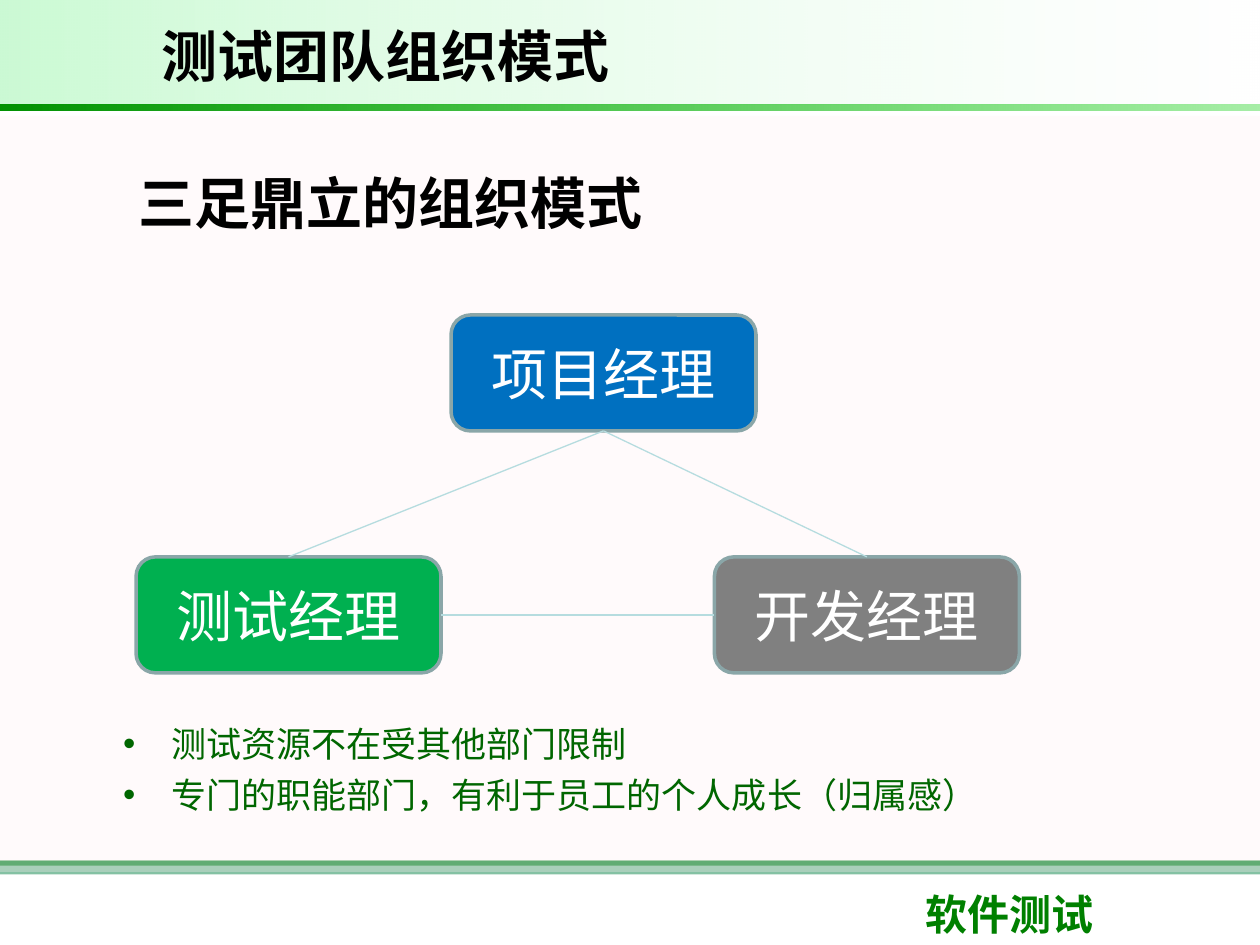
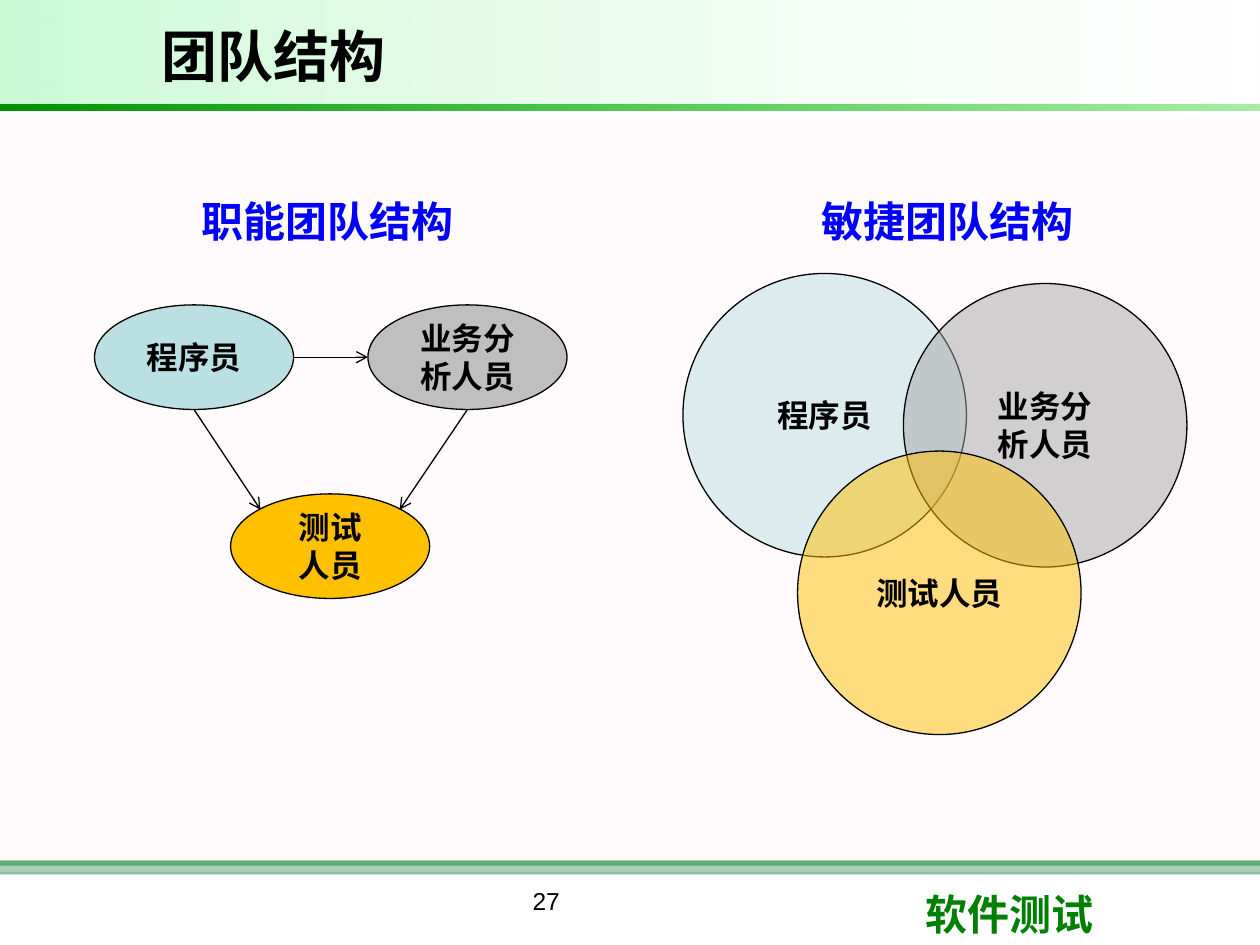
"""Builds two slides on how test teams are organised."""
from dataclasses import dataclass

from lxml.etree import SubElement
from pptx import Presentation
from pptx.dml.color import RGBColor
from pptx.enum.shapes import MSO_CONNECTOR as Connector, MSO_SHAPE as Preset
from pptx.enum.text import MSO_ANCHOR as Anchor, MSO_AUTO_SIZE as AutoSize, PP_ALIGN as Align
from pptx.oxml.ns import qn
from pptx.shapes.autoshape import Shape
from pptx.slide import Slide
from pptx.util import Inches, Pt

BLACK = RGBColor(0x00, 0x00, 0x00)
WHITE = RGBColor(0xFF, 0xFF, 0xFF)
GREEN = RGBColor(0x00, 0x80, 0x00)
SEA_GREEN = RGBColor(0x33, 0x99, 0x66)
BLUSH = RGBColor(0xFF, 0xF0, 0xF5)
MINT = RGBColor(0x09, 0xE7, 0x33)
RULE_DARK = RGBColor(0x00, 0x92, 0x00)
RULE_LIGHT = RGBColor(0x00, 0xCC, 0x00)
BULLET_GREEN = RGBColor(0x00, 0x66, 0x00)
HEADING_BLUE = RGBColor(0x00, 0x00, 0xFF)
PROJECT_BLUE = RGBColor(0x00, 0x70, 0xC0)
TEST_GREEN = RGBColor(0x00, 0xB0, 0x50)
DEVELOPMENT_GREY = RGBColor(0x80, 0x80, 0x80)
BOX_EDGE = RGBColor(0x8A, 0xA6, 0xA8)
LINK = RGBColor(0xB6, 0xDC, 0xDF)
PALE_BLUE = RGBColor(0xBB, 0xE0, 0xE3)
SILVER = RGBColor(0xBF, 0xBF, 0xBF)
MID_GREY = RGBColor(0xA6, 0xA6, 0xA6)
AMBER = RGBColor(0xFF, 0xC0, 0x00)

Area = tuple[float, float, float, float]
Site = tuple[float, float]
HEADER_AREA: Area = (1.18, 0.08, 6.97, 0.71)
TOP: Site = (0.5, 0)
BOTTOM: Site = (0.5, 1)
LEFT: Site = (0, 0.5)
RIGHT: Site = (1, 0.5)
TOP_LEFT: Site = (0.15, 0.15)
TOP_RIGHT: Site = (0.85, 0.15)


@dataclass(frozen=True)
class TextStyle:
    """Look of the paragraphs in one box."""
    size: float
    color: RGBColor = BLACK
    bold: bool = True
    font: str = "Arial"
    align: Align = Align.LEFT
    anchor: Anchor = Anchor.TOP
    wrap: bool = True
    bullet: bool = False
    spacing: float = 1.0


@dataclass(frozen=True)
class NodeStyle:
    """Look shared by the nodes of one diagram."""
    preset: Preset
    width: float
    height: float
    edge: RGBColor
    edge_width: float
    text: TextStyle
    opacity: int = 100


@dataclass(frozen=True)
class Node:
    """One labelled node of a diagram."""
    label: str
    left: float
    top: float
    fill: RGBColor


TITLE = TextStyle(32, anchor=Anchor.MIDDLE)
FOOTER = TextStyle(24, GREEN, font="Roboto")
PAGE_NUMBER = TextStyle(14, bold=False, align=Align.CENTER)
HEADING = TextStyle(24, HEADING_BLUE, wrap=False)
BULLETS = TextStyle(20, BULLET_GREEN, False, "Noto Sans CJK SC", wrap=False, bullet=True, spacing=1.2)
MANAGER_TEXT = TextStyle(32, WHITE, False, align=Align.CENTER, anchor=Anchor.MIDDLE)
ROLE_TEXT = TextStyle(18, align=Align.CENTER, anchor=Anchor.MIDDLE)
MANAGER = NodeStyle(Preset.ROUNDED_RECTANGLE, 2.42, 0.92, BOX_EDGE, 2, MANAGER_TEXT)
ROLE = NodeStyle(Preset.OVAL, 1.58, 0.83, BLACK, 0.75, ROLE_TEXT)
CIRCLE = NodeStyle(Preset.OVAL, 2.25, 2.25, BLACK, 0.75, ROLE_TEXT, 50)


def inches(area: Area) -> list[Inches]:
    """Turn an area into lengths."""
    return [Inches(value) for value in area]


def set_opacity(shape: Shape, *percents: int) -> None:
    """Set the opacity of each colour in the fill of a shape."""
    fill = next(child for child in shape.element.spPr
                if child.tag in (qn("a:solidFill"), qn("a:gradFill")))
    for color, percent in zip(fill.iter(qn("a:srgbClr")), percents):
        if percent < 100:
            SubElement(color, qn("a:alpha"), val=str(percent * 1000))


def write(shape: Shape, lines: list[str], style: TextStyle) -> None:
    """Write one paragraph a line in the given style."""
    frame = shape.text_frame
    frame.auto_size = AutoSize.NONE
    frame.word_wrap = style.wrap
    frame.vertical_anchor = style.anchor
    frame.text = "\n".join(lines)
    for para in frame.paragraphs:
        para.alignment = style.align
        para.line_spacing = style.spacing
        if style.bullet:
            properties = para._p.get_or_add_pPr()
            properties.set("marL", str(Inches(0.38)))
            properties.set("indent", str(-Inches(0.38)))
            SubElement(properties, qn("a:buFont"), typeface="Arial")
            SubElement(properties, qn("a:buChar"), char="•")
        para.font.name = style.font
        para.font.size = Pt(style.size)
        para.font.bold = style.bold
        para.font.color.rgb = style.color


def add_text(page: Slide, area: Area, lines: list[str], style: TextStyle) -> None:
    """Add a text box."""
    write(page.shapes.add_textbox(*inches(area)), lines, style)


def add_band(page: Slide, area: Area, color: RGBColor, opacity: int = 100) -> None:
    """Add a plain band without an outline."""
    band = page.shapes.add_shape(Preset.RECTANGLE, *inches(area))
    band.shadow.inherit = False
    band.line.fill.background()
    band.fill.solid()
    band.fill.fore_color.rgb = color
    set_opacity(band, opacity)


def add_fade(page: Slide, area: Area, colors: list[RGBColor], opacities: list[int]) -> None:
    """Add a band that fades from left to right."""
    band = page.shapes.add_shape(Preset.RECTANGLE, *inches(area))
    band.shadow.inherit = False
    band.line.fill.background()
    band.fill.gradient()
    band.fill.gradient_angle = 0
    for position, (stop, color) in enumerate(zip(band.fill.gradient_stops, colors)):
        stop.position = position
        stop.color.rgb = color
    set_opacity(band, *opacities)


def add_node(page: Slide, node: Node, style: NodeStyle) -> Shape:
    """Add a labelled node and return its shape."""
    shape = page.shapes.add_shape(
        style.preset, *inches((node.left, node.top, style.width, style.height)))
    shape.shadow.inherit = False
    shape.fill.solid()
    shape.fill.fore_color.rgb = node.fill
    set_opacity(shape, style.opacity)
    shape.line.color.rgb = style.edge
    shape.line.width = Pt(style.edge_width)
    write(shape, node.label.split("\n"), style.text)
    return shape


def site_point(shape: Shape, site: Site) -> tuple[int, int]:
    """Find the point at a relative place of a shape."""
    return (int(shape.left + shape.width * site[0]),
            int(shape.top + shape.height * site[1]))


def link(page: Slide, start: Shape, start_site: Site, end: Shape, end_site: Site,
         color: RGBColor, arrow: bool = False) -> None:
    """Join two shapes with a thin straight line."""
    line = page.shapes.add_connector(
        Connector.STRAIGHT, *site_point(start, start_site), *site_point(end, end_site))
    line.line.color.rgb = color
    line.line.width = Pt(0.75)
    if arrow:
        SubElement(line.line._get_or_add_ln(), qn("a:tailEnd"), type="arrow")
    SubElement(line.element.spPr, qn("a:effectLst"))


def add_page(deck: Presentation, title: str, area: Area) -> Slide:
    """Add a slide with the shared bands, footer and title."""
    page = deck.slides.add_slide(deck.slide_layouts[5])
    add_band(page, (0, 6.83, 10, 0.04), GREEN)
    add_band(page, (0, 6.83, 10, 0.11), SEA_GREEN, 60)
    add_band(page, (0, 0.92, 10, 6), BLUSH, 30)
    add_text(page, (7.25, 7, 2.37, 0.5), ["软件测试"], FOOTER)
    add_fade(page, (0, 0, 10, 0.83), [MINT, WHITE], [21, 10])
    add_fade(page, (0, 0.83, 10, 0.05), [RULE_DARK, RULE_LIGHT], [100, 35])
    heading = page.shapes.title
    heading.left, heading.top, heading.width, heading.height = inches(area)
    write(heading, [title], TITLE)
    page.shapes.element.append(heading.element)
    return page


def build_organisation(deck: Presentation) -> None:
    """Build the slide with the three managers."""
    page = add_page(deck, "三足鼎立的组织模式", (1, 1.25, 6.97, 0.71))
    project, test, development = [add_node(page, node, MANAGER) for node in (
        Node("项目经理", 3.58, 2.5, PROJECT_BLUE),
        Node("测试经理", 1.08, 4.42, TEST_GREEN),
        Node("开发经理", 5.67, 4.42, DEVELOPMENT_GREY))]
    link(page, project, BOTTOM, test, TOP, LINK)
    link(page, project, BOTTOM, development, TOP, LINK)
    link(page, test, RIGHT, development, LEFT, LINK)
    add_text(page, HEADER_AREA, ["测试团队组织模式"], TITLE)
    add_text(page, (0.88, 5.62, 7.03, 0.87),
             ["测试资源不在受其他部门限制", "专门的职能部门，有利于员工的个人成长（归属感）"], BULLETS)


def build_structure(deck: Presentation) -> None:
    """Build the slide that compares two team structures."""
    page = add_page(deck, "团队结构", HEADER_AREA)
    add_text(page, (2.75, 6.98, 3.17, 0.52), ["27"], PAGE_NUMBER)
    programmer, analyst, tester = [add_node(page, node, ROLE) for node in (
        Node("程序员", 0.75, 2.42, PALE_BLUE),
        Node("业务分析人员", 2.92, 2.42, SILVER),
        Node("测试\n人员", 1.83, 3.92, AMBER))]
    link(page, programmer, RIGHT, analyst, LEFT, BLACK, arrow=True)
    link(page, programmer, BOTTOM, tester, TOP_LEFT, BLACK, arrow=True)
    link(page, analyst, BOTTOM, tester, TOP_RIGHT, BLACK, arrow=True)
    for circle in (Node("程序员", 5.42, 2.17, PALE_BLUE),
                   Node("业务分\n析人员", 7.17, 2.25, MID_GREY),
                   Node("测试人员", 6.33, 3.58, AMBER)):
        add_node(page, circle, CIRCLE)
    for left, heading in ((1.5, "职能团队结构"), (6.42, "敏捷团队结构")):
        add_text(page, (left, 1.5, 2.22, 0.5), [heading], HEADING)


def main() -> None:
    """Build and save the deck."""
    deck = Presentation()
    deck.slide_width, deck.slide_height = Inches(10), Inches(7.5)
    build_organisation(deck)
    build_structure(deck)
    deck.save("out.pptx")


if __name__ == "__main__":
    main()
